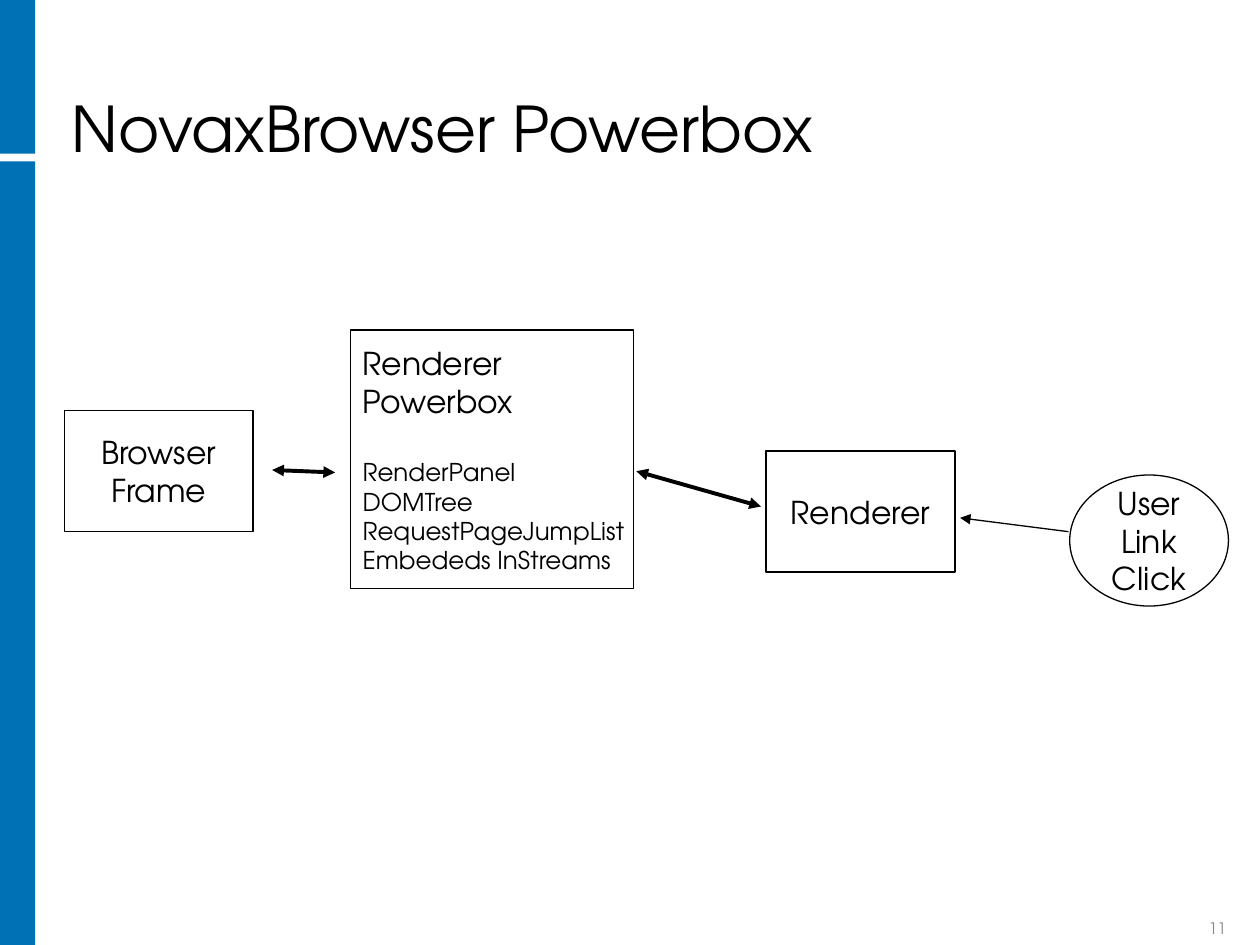
from dataclasses import dataclass

from lxml.etree import SubElement
from pptx import Presentation
from pptx.dml.color import RGBColor as RGB
from pptx.enum.shapes import MSO_CONNECTOR as Link, MSO_SHAPE as Kind
from pptx.enum.text import MSO_ANCHOR as Anchor, PP_ALIGN as Align
from pptx.oxml.ns import qn
from pptx.util import Inches, Pt


@dataclass(frozen=True)
class Theme:
    font: str = "TeX Gyre Adventor"
    ink: RGB = RGB(0, 0, 0)
    bar: RGB = RGB(0x00, 0x71, 0xB4)
    mute: RGB = RGB(0x84, 0x85, 0x89)
    title: int = 36
    body: int = 18
    small: int = 14
    page: int = 9
    gap: float = 21.6
    thin: float = 0.75
    bold: float = 2.25


T = Theme()
SIZE = (10, 7.5)
BARS = [(0, 0, 0.28, 1.22), (0, 1.28, 0.28, 6.22)]
TITLE = ("NovaxBrowser Powerbox", (0.47, 0.12, 8.34, 1.25))
PAGE = ("11", (9, 7.25, 0.83, 0.24))
NODES = [
    (Kind.RECTANGLE, (0.51, 3.26, 1.5, 0.96), Align.CENTER,
     [("Browser\nFrame", T.body)]),
    (Kind.OVAL, (8.49, 3.77, 1.26, 1.04), Align.CENTER,
     [("User\nLink\nClick", T.body)]),
    (Kind.RECTANGLE, (2.78, 2.62, 2.25, 2.05), Align.LEFT,
     [("Renderer\nPowerbox", T.body),
      ("RenderPanel\nDOMTree\nRequestPageJumpList\nEmbededs InStreams", T.small)]),
    (Kind.RECTANGLE, (6.08, 3.58, 1.5, 0.96), Align.CENTER,
     [("Renderer", T.body)]),
]
ARROWS = [
    ((8.48, 4.22), (7.62, 4.11), T.thin, ["tailEnd"]),
    ((2.16, 3.73), (2.66, 3.75), T.bold, ["headEnd", "tailEnd"]),
    ((5.05, 3.74), (6.04, 4.02), T.bold, ["headEnd", "tailEnd"]),
]


def inch(vals):
    """Turn numbers into lengths."""
    return [Inches(v) for v in vals]


def write(frame, parts, align, anchor, wrap=True, color=T.ink):
    """Fill a text frame with one paragraph for each part."""
    frame.word_wrap = wrap
    frame.vertical_anchor = anchor
    for i, (text, size) in enumerate(parts):
        para = frame.add_paragraph() if i else frame.paragraphs[0]
        para.text = text.replace("\n", "\v")
        para.alignment = align
        para.font.name = T.font
        para.font.size = Pt(size)
        para.font.color.rgb = color
        if i:
            para.space_before = Pt(T.gap)


def add_bar(slide, box):
    """Draw one piece of the side band."""
    bar = slide.shapes.add_shape(Kind.RECTANGLE, *inch(box))
    bar.shadow.inherit = False
    bar.fill.solid()
    bar.fill.fore_color.rgb = T.bar
    bar.line.fill.background()


def add_label(slide, text, box, size, align, color=T.ink):
    """Place a line of text at the foot of its box."""
    frame = slide.shapes.add_textbox(*inch(box)).text_frame
    write(frame, [(text, size)], align, Anchor.BOTTOM, color=color)
    return frame


def add_node(slide, kind, box, align, parts):
    """Draw an outlined node with its text."""
    node = slide.shapes.add_shape(kind, *inch(box))
    node.shadow.inherit = False
    node.fill.background()
    node.line.color.rgb = T.ink
    node.line.width = Pt(T.thin)
    write(node.text_frame, parts, align, Anchor.MIDDLE, wrap=False)


def add_arrow(slide, start, end, width, ends):
    """Draw a line with triangle heads at the named ends."""
    link = slide.shapes.add_connector(Link.STRAIGHT, *inch(start + end))
    link.line.color.rgb = T.ink
    link.line.width = Pt(width)
    for name in ends:
        SubElement(link.line._get_or_add_ln(), qn(f"a:{name}"), type="triangle")
    SubElement(link._element.spPr, qn("a:effectLst"))


def main():
    """Build and save the slide."""
    deck = Presentation()
    deck.slide_width, deck.slide_height = inch(SIZE)
    slide = deck.slides.add_slide(deck.slide_layouts[6])
    for box in BARS:
        add_bar(slide, box)
    title = add_label(slide, *TITLE, T.title, Align.LEFT)
    title.paragraphs[0].line_spacing = 0.9
    for node in NODES:
        add_node(slide, *node)
    for arrow in ARROWS:
        add_arrow(slide, *arrow)
    add_label(slide, *PAGE, T.page, Align.RIGHT, T.mute)
    deck.save("out.pptx")


if __name__ == "__main__":
    main()
